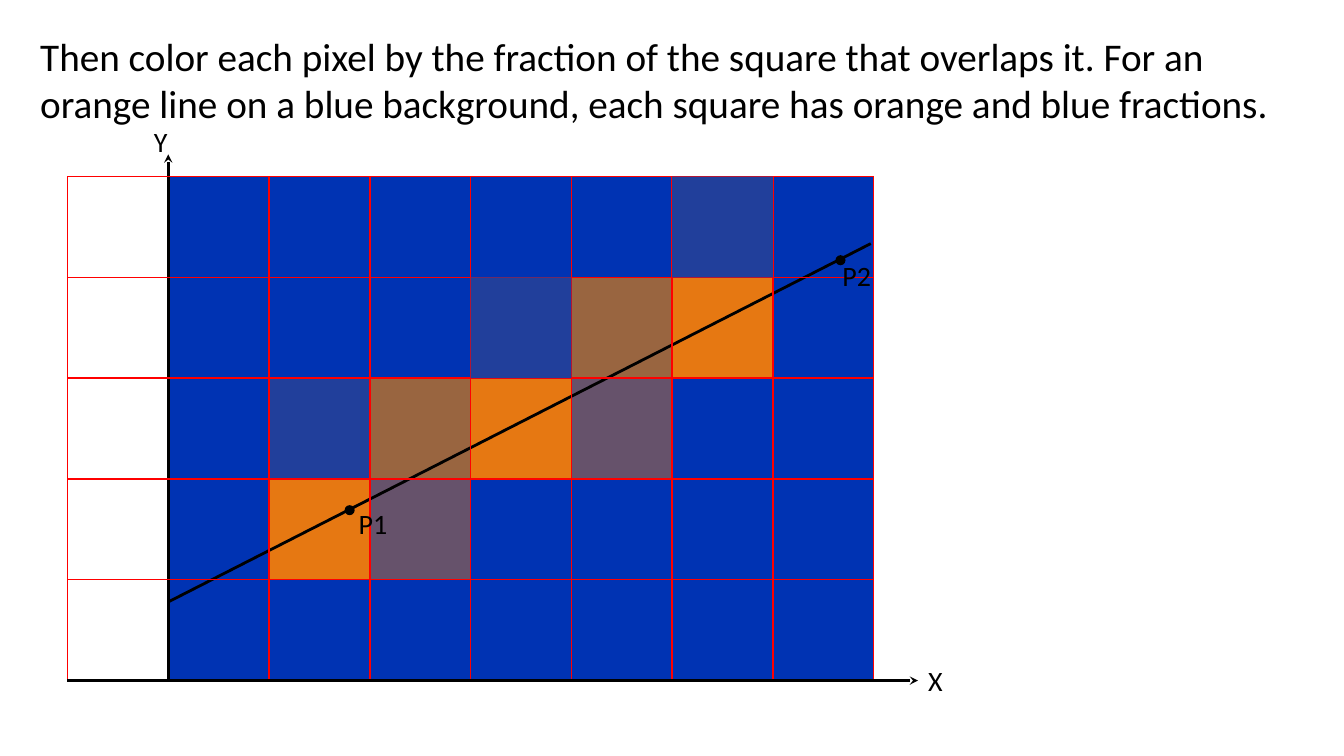
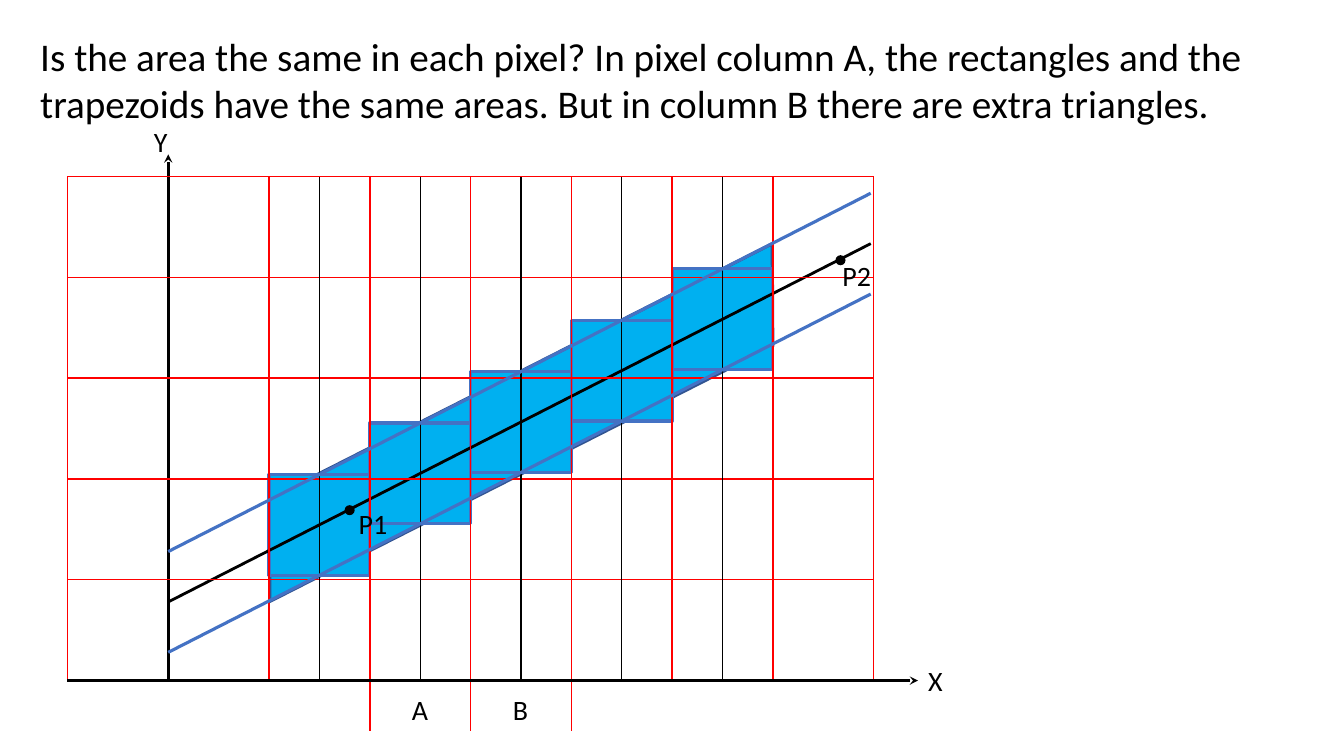
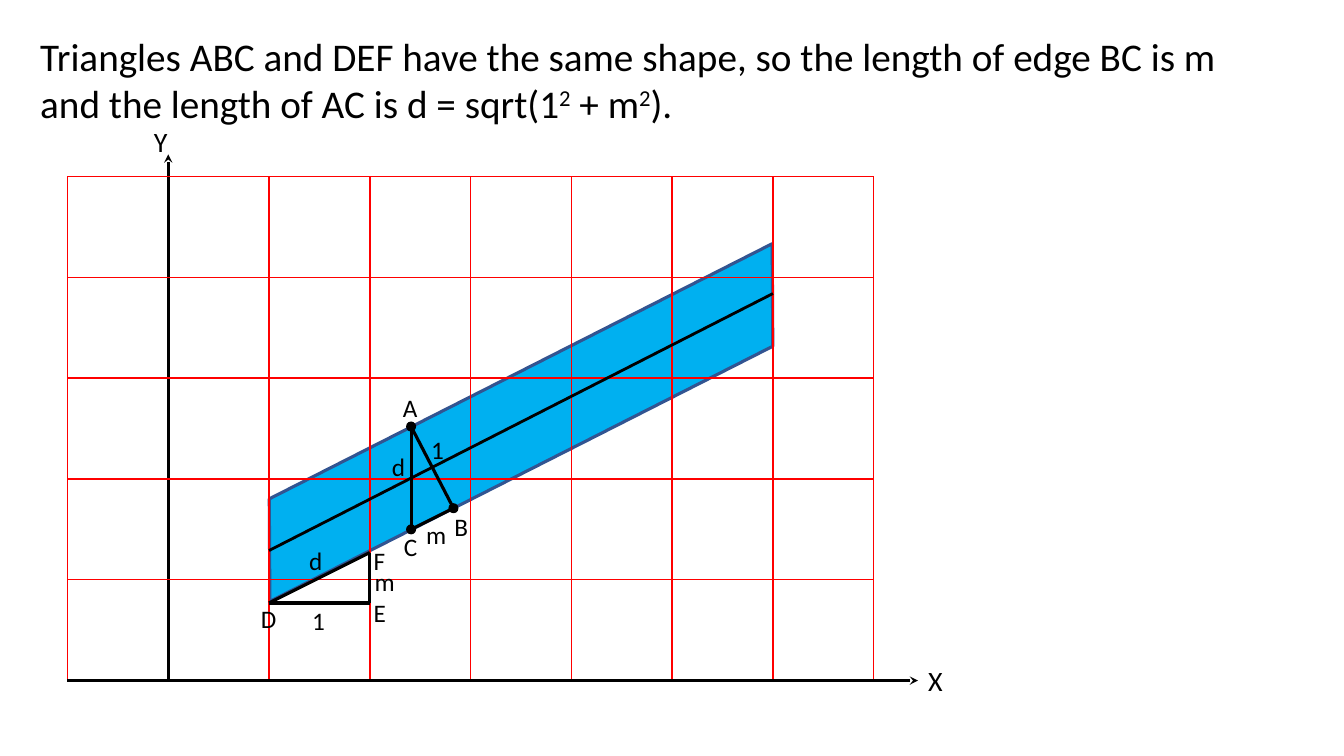
from dataclasses import dataclass

from lxml import etree
from pptx import Presentation
from pptx.dml.color import RGBColor
from pptx.enum import shapes, text
from pptx.oxml import ns
from pptx.util import Cm, Pt

BLACK, RED, BLUE, NAVY, SKY = "000000", "FF0000", "4472C4", "325491", "00B0F0"
BACKGROUND, ORANGE = "0033B3", "E67812"
FAINT, MAUVE, BROWN = "213F9B", "66526B", "996540"
FONT = "Calibri"
COLS, ROWS = 7, 5
LINE_END = 6.97
P1, P2 = (1.8, 1.69), (6.67, 4.17)


@dataclass
class Plane:
    """Pixel plane: its origin and cell size in centimetres, with v upwards."""
    left: float
    bottom: float
    cell: float

    def point(self, u, v):
        """Return the slide position of a point of the plane."""
        return Cm(self.left + u * self.cell), Cm(self.bottom - v * self.cell)

    def size(self, length):
        """Return a length given in cells."""
        return Cm(length * self.cell)


def rgb(value):
    """Turn a hex string into a colour."""
    return RGBColor.from_string(value)


def line_height(u):
    """Return the height of the ideal line at u."""
    return 0.78 + 0.51 * u


def format_run(r, size):
    """Apply the shared font to a run."""
    r.font.name, r.font.size = FONT, Pt(size)
    r.font.color.rgb = rgb(BLACK)


def add_titled_slide(prs, parts):
    """Add a slide whose title raises every second part."""
    s = prs.slides.add_slide(prs.slide_layouts[5])
    title = s.shapes.title
    title.left, title.top, title.width, title.height = Cm(0.76), Cm(0.69), Cm(31.6), Cm(2.64)
    tf = title.text_frame
    tf.word_wrap, tf.auto_size = True, text.MSO_AUTO_SIZE.SHAPE_TO_FIT_TEXT
    tf.vertical_anchor = text.MSO_ANCHOR.TOP
    p = tf.paragraphs[0]
    p.alignment = text.PP_ALIGN.LEFT
    for i, part in enumerate(parts):
        r = p.add_run()
        r.text = part
        format_run(r, 28)
        if i % 2:
            r.font._element.set("baseline", "30000")
    return s


def add_figure(s, plane, kind, u, v, w, h, fill, line=None, width=1):
    """Add a filled shape with its top left corner at (u, v)."""
    sp = s.shapes.add_shape(kind, *plane.point(u, v), plane.size(w), plane.size(h))
    sp.shadow.inherit = False
    sp.fill.solid()
    sp.fill.fore_color.rgb = rgb(fill)
    if line:
        sp.line.color.rgb, sp.line.width = rgb(line), Pt(width)
    else:
        sp.line.fill.background()
    return sp


def add_square(s, plane, u, v, fill, line=None, width=1):
    """Add a unit square with its bottom left corner at (u, v)."""
    add_figure(s, plane, shapes.MSO_SHAPE.RECTANGLE, u, v + 1, 1, 1, fill, line, width)


def add_dot(s, plane, u, v):
    """Add a dot centred on (u, v)."""
    add_figure(s, plane, shapes.MSO_SHAPE.OVAL, u - 0.05, v + 0.05, 0.1, 0.1, BLACK)


def add_line(s, plane, start, end, color=BLACK, width=2.0, arrow=False):
    """Add a straight line between two points of the plane."""
    c = s.shapes.add_connector(shapes.MSO_CONNECTOR.STRAIGHT,
                               *plane.point(*start), *plane.point(*end))
    c.line.color.rgb, c.line.width = rgb(color), Pt(width)
    if arrow:
        etree.SubElement(c.line._get_or_add_ln(), ns.qn("a:tailEnd"), type="stealth")
    etree.SubElement(c._element.spPr, ns.qn("a:effectLst"))


def add_label(s, plane, label, u, v, w=0.67, h=0.44, size=20):
    """Add a label with its top left corner at (u, v)."""
    sp = s.shapes.add_textbox(*plane.point(u, v), plane.size(w), plane.size(h))
    tf = sp.text_frame
    tf.word_wrap, tf.auto_size = True, text.MSO_AUTO_SIZE.SHAPE_TO_FIT_TEXT
    tf.text = label
    format_run(tf.paragraphs[0].runs[0], size)


def add_grid(s, plane, extended=()):
    """Add the axes and the pixel grid, with some columns extended below."""
    add_line(s, plane, (0, 0), (0, 5.22), arrow=True)
    for v in range(1, ROWS + 1):
        add_line(s, plane, (-1, v), (COLS, v), RED, 1)
    for u in range(-1, COLS + 1):
        if u:
            foot = -0.5 if u in extended else 0
            add_line(s, plane, (u, ROWS), (u, foot), RED, 1)
    add_line(s, plane, (-1, 0), (7.44, 0), arrow=True)
    add_label(s, plane, "Y", -0.24, 5.57)
    add_label(s, plane, "X", 7.44, 0.22)


def add_slope(s, plane, start=0, end=LINE_END, offset=0, color=BLACK, width=2.0):
    """Add the ideal line, or a parallel to it."""
    add_line(s, plane, (start, line_height(start) + offset),
             (end, line_height(end) + offset), color, width)


def add_known_points(s, plane):
    """Add the points P1 and P2 with their names."""
    add_dot(s, plane, *P1)
    add_dot(s, plane, *P2)
    add_label(s, plane, "P1", 1.79, 1.78, 1.58)
    add_label(s, plane, "P2", 6.59, 4.24, 1.58)


def add_band(s, plane):
    """Add the slanted band around the ideal line."""
    w, h = 6.05, 0.91
    band = add_figure(s, plane, shapes.MSO_SHAPE.PARALLELOGRAM,
                      3.5 - w / 2, 2.56 + h / 2, w, h, SKY, NAVY, 2.25)
    band.adjustments[0] = 0.5
    band.rotation = 153.1


def build_coverage(prs, plane):
    """Build the slide with pixels coloured by coverage."""
    s = add_titled_slide(prs, [
        "Then color each pixel by the fraction of the square that overlaps it. For an "
        "orange line on a blue background, each square has orange and blue fractions."])
    add_figure(s, plane, shapes.MSO_SHAPE.RECTANGLE, 0, ROWS, COLS, ROWS, BACKGROUND, NAVY)
    pixels = {MAUVE: [(4, 2), (2, 1)], BROWN: [(4, 3), (2, 2)], FAINT: [(1, 2)],
              ORANGE: [(5, 3), (3, 2), (1, 1)]}
    for fill, cells in pixels.items():
        for u, v in cells:
            add_square(s, plane, u, v, fill)
    add_slope(s, plane)
    add_grid(s, plane)
    add_known_points(s, plane)
    for u, v in [(5, 4), (3, 3)]:
        add_square(s, plane, u, v, FAINT)


def build_areas(prs, plane):
    """Build the slide that compares rectangles and trapezoids."""
    s = add_titled_slide(prs, [
        "Is the area the same in each pixel? In pixel column A, the rectangles and the "
        "trapezoids have the same areas. But in column B there are extra triangles."])
    add_band(s, plane)
    columns = range(1, 6)
    for u in columns:
        add_square(s, plane, u, line_height(u + 0.5) - 0.5, SKY, BLUE, 2.25)
    add_slope(s, plane)
    add_grid(s, plane, extended=(2, 3, 4))
    add_known_points(s, plane)
    for u in columns:
        add_line(s, plane, (u + 0.5, 0), (u + 0.5, ROWS), BLACK, 0.75)
    for offset in (0.5, -0.5):
        add_slope(s, plane, offset=offset, color=BLUE, width=2.25)
    for i, name in enumerate("AB"):
        add_label(s, plane, name, 2.32 + i, -0.07)


def build_triangles(prs, plane):
    """Build the slide with the two similar triangles."""
    s = add_titled_slide(prs, [
        "Triangles ABC and DEF have the same shape, so the length of edge BC is m "
        "and the length of AC is d = sqrt(1", "2", " + m", "2", ")."])
    add_band(s, plane)
    add_grid(s, plane)
    add_slope(s, plane, 1, 6)
    a, b, c = (2.41, 2.52), (2.83, 1.71), (2.41, 1.5)
    d, e, f = (1, 0.77), (2, 0.77), (2, 1.27)
    for corners in [(a, b, c), (d, e, f)]:
        for i, corner in enumerate(corners):
            add_line(s, plane, corners[i - 1], corner, width=2.25)
    for corner in (a, b, c):
        add_dot(s, plane, *corner)
    names = [("A", 2.23, 2.91), ("B", 2.74, 1.73), ("C", 2.24, 1.53),
             ("D", 0.82, 0.82), ("E", 1.94, 0.88), ("F", 1.94, 1.39),
             ("1", 1.33, 0.8), ("1", 2.51, 2.49), ("m", 1.95, 1.18),
             ("m", 2.46, 1.65), ("d", 1.3, 1.39), ("d", 2.12, 2.32)]
    for name, u, v in names:
        add_label(s, plane, name, u, v, 0.4 if name == "m" else 0.35, 0.4, 18)


def main():
    """Build and save the presentation."""
    prs = Presentation()
    prs.slide_width, prs.slide_height = Cm(33.87), Cm(19.05)
    plane = Plane(left=4.24, bottom=17.15, cell=2.54)
    for build in (build_coverage, build_areas, build_triangles):
        build(prs, plane)
    prs.save("out.pptx")


main()
